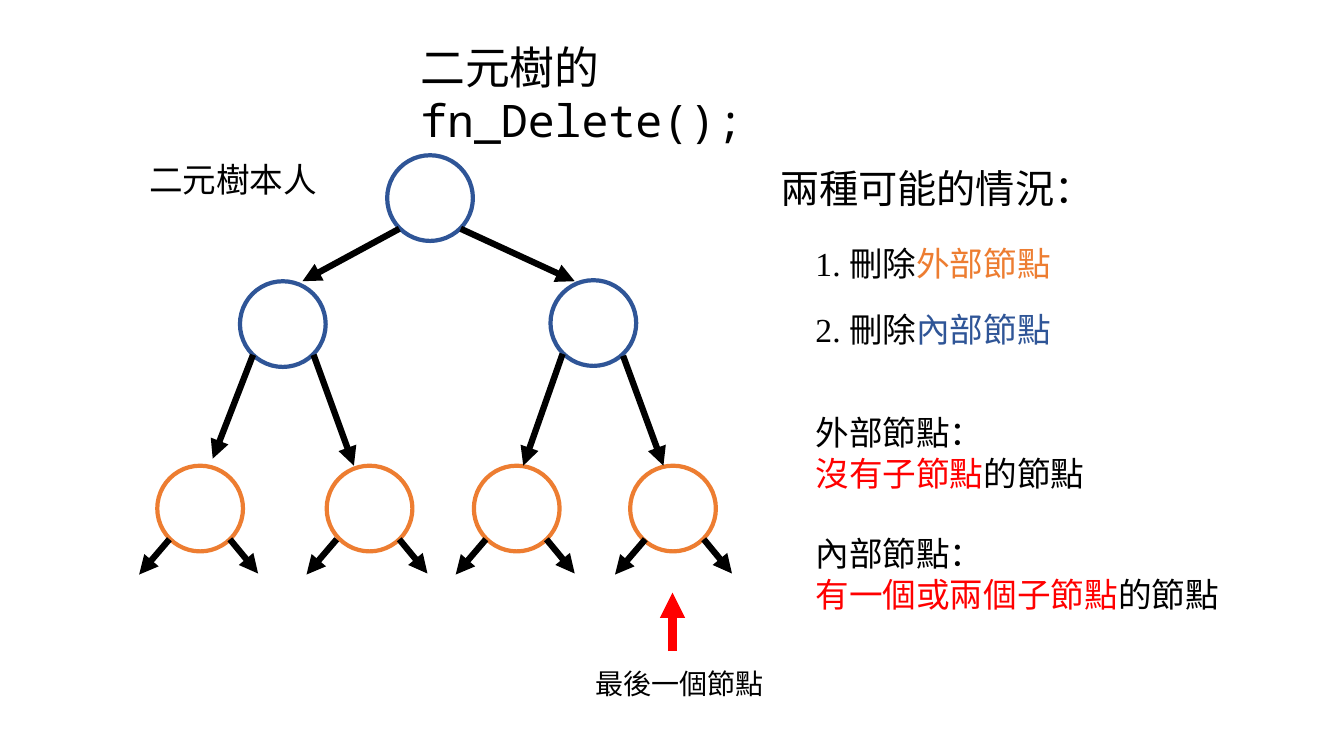
from pptx import Presentation
from pptx.dml.color import RGBColor
from pptx.enum import shapes, text
from pptx.oxml.ns import qn
from pptx.util import Inches, Pt
from lxml import etree

BLACK, RED, BLUE, ORANGE = "000000", "FF0000", "2F5597", "ED7D31"
CJK, MONO, SERIF = "Noto Sans CJK SC", "Noto Sans Mono", "Times New Roman"
NODE = 0.85


def rgb(value):
    return RGBColor.from_string(value)


def add_arrow(parent, x1, y1, x2, y2, color=BLACK, width=4.5):
    cx = parent.add_connector(shapes.MSO_CONNECTOR.STRAIGHT,
                              Inches(x1), Inches(y1), Inches(x2), Inches(y2))
    cx.line.color.rgb = rgb(color)
    cx.line.width = Pt(width)
    etree.SubElement(cx.line._get_or_add_ln(), qn("a:tailEnd"), type="triangle")
    etree.SubElement(cx._element.spPr, qn("a:effectLst"))


prs = Presentation()
prs.slide_width, prs.slide_height = Inches(13.33), Inches(7.5)
s = prs.slides.add_slide(prs.slide_layouts[6])
tree = s.shapes.add_group_shape().shapes

# Leaves: node left, start of left arrow, start of right arrow
leaves = [(1.56, 1.68, 2.28), (3.24, 3.34, 3.96), (4.7, 4.82, 5.42), (6.25, 6.4, 6.98)]
nodes = [(3.84, 1.54, BLUE), (2.38, 2.79, BLUE), (5.46, 2.78, BLUE)]
nodes += [(leaf[0], 4.62, ORANGE) for leaf in leaves]
for x, y, color in nodes:
    sp = tree.add_shape(shapes.MSO_SHAPE.OVAL, Inches(x), Inches(y), Inches(NODE), Inches(NODE))
    sp.shadow.inherit = False
    sp.fill.background()
    sp.line.color.rgb = rgb(color)
    sp.line.width = Pt(3)

branches = [
    (3.96, 2.27, 3, 2.79), (4.57, 2.27, 5.7, 2.79),
    (2.51, 3.52, 2.11, 4.55), (3.11, 3.52, 3.51, 4.62),
    (5.58, 3.51, 5.19, 4.62), (6.18, 3.53, 6.58, 4.62),
]
for _, left, right in leaves:
    branches += [(left, 5.35, left - 0.3, 5.7), (right, 5.35, right + 0.28, 5.69)]
for branch in branches:
    add_arrow(tree, *branch)

add_arrow(s.shapes, 6.67, 6.46, 6.67, 5.88, RED, 6)

# Box, text size, paragraphs of (text, font, colour) runs
labels = [
    ((4.07, 0.34, 5.19, 0.64), 32, [[("二元樹的 ", CJK, BLACK), ("fn_Delete();", MONO, BLACK)]]),
    ((1.38, 1.53, 2.17, 0.5), 24, [[("二元樹本人", CJK, BLACK)]]),
    ((7.64, 1.58, 3.46, 0.57), 28, [[("兩種可能的情況：", CJK, BLACK)]]),
    ((7.99, 2.36, 3.46, 0.5), 24,
     [[("1. ", SERIF, BLACK), ("刪除", CJK, BLACK), ("外部節點", CJK, ORANGE)]]),
    ((7.99, 3.02, 3.46, 0.5), 24,
     [[("2. ", SERIF, BLACK), ("刪除", CJK, BLACK), ("內部節點", CJK, BLUE)]]),
    ((5.81, 6.56, 1.97, 0.44), 20, [[("最後一個節點", CJK, BLACK)]]),
    ((7.99, 4.04, 3.46, 0.91), 24,
     [[("外部節點：", CJK, BLACK)], [("沒有子節點", CJK, RED), ("的節點", CJK, BLACK)]]),
    ((7.99, 5.24, 4.25, 0.91), 24,
     [[("內部節點：", CJK, BLACK)], [("有一個或兩個子節點", CJK, RED), ("的節點", CJK, BLACK)]]),
]
for box, size, paragraphs in labels:
    tf = s.shapes.add_textbox(*map(Inches, box)).text_frame
    tf.word_wrap = True
    tf.auto_size = text.MSO_AUTO_SIZE.SHAPE_TO_FIT_TEXT
    for i, runs in enumerate(paragraphs):
        p = tf.add_paragraph() if i else tf.paragraphs[0]
        for words, font, color in runs:
            r = p.add_run()
            r.text = words
            r.font.size = Pt(size)
            r.font.name = font
            r.font.color.rgb = rgb(color)
            etree.SubElement(r.font._element, qn("a:ea"), typeface=font)

prs.save("out.pptx")
